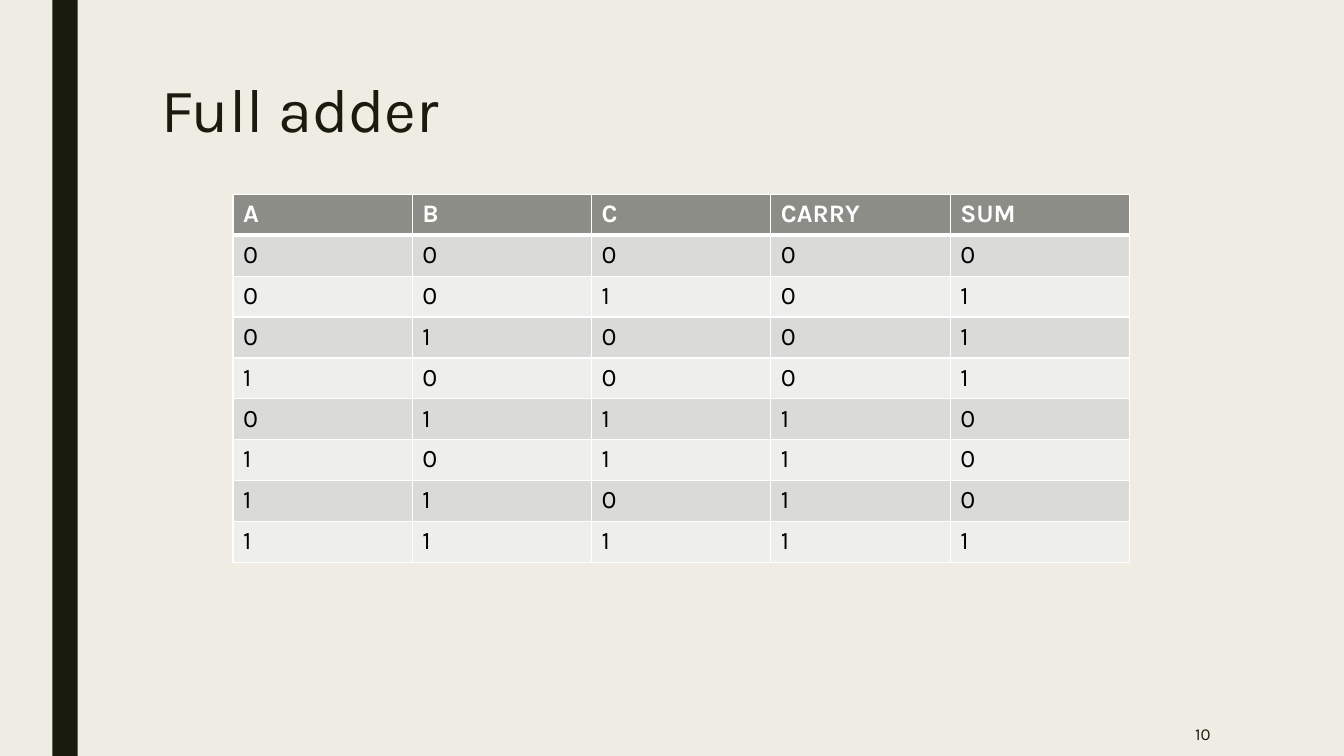
from itertools import product

from lxml import etree
from pptx import Presentation
from pptx.dml.color import RGBColor
from pptx.enum.shapes import MSO_SHAPE
from pptx.enum.text import MSO_ANCHOR, PP_ALIGN
from pptx.oxml.ns import qn
from pptx.util import Cm, Pt

RECTANGLE = MSO_SHAPE.RECTANGLE
TOP, MIDDLE = MSO_ANCHOR.TOP, MSO_ANCHOR.MIDDLE
LEFT, RIGHT = PP_ALIGN.LEFT, PP_ALIGN.RIGHT

CREAM = RGBColor(0xEF, 0xED, 0xE3)
DARK = RGBColor(0x19, 0x1B, 0x0E)
WHITE = RGBColor(0xFF, 0xFF, 0xFF)
BLACK = RGBColor(0x00, 0x00, 0x00)
HEADER_GRAY = RGBColor(0x8C, 0x8D, 0x86)
BAND_GRAYS = (RGBColor(0xDA, 0xDB, 0xD9), RGBColor(0xEE, 0xEE, 0xED))

HEADINGS = ("A", "B", "C", "CARRY", "SUM")


class SlideBuilder:
    font_name = "Karla"

    def __init__(self, presentation):
        self.slide = presentation.slides.add_slide(presentation.slide_layouts[6])
        background = self.slide.background.fill
        background.solid()
        background.fore_color.rgb = CREAM

    def style(self, paragraph, size, color, bold=False):
        font = paragraph.font
        font.name = self.font_name
        font.size = Pt(size)
        font.bold = bold
        font.color.rgb = color

    def bar(self, left, top, width, height):
        shape = self.slide.shapes.add_shape(
            RECTANGLE, Cm(left), Cm(top), Cm(width), Cm(height))
        shape.shadow.inherit = False
        shape.fill.solid()
        shape.fill.fore_color.rgb = DARK
        shape.line.fill.background()

    def text(self, text, left, top, width, height, size,
             anchor=TOP, alignment=LEFT, line_spacing=1.0):
        box = self.slide.shapes.add_textbox(
            Cm(left), Cm(top), Cm(width), Cm(height))
        frame = box.text_frame
        frame.word_wrap = True
        frame.vertical_anchor = anchor
        paragraph = frame.paragraphs[0]
        paragraph.text = text
        paragraph.alignment = alignment
        paragraph.line_spacing = line_spacing
        self.style(paragraph, size, DARK)

    def border(self, cell, widths):
        properties = cell._tc.get_or_add_tcPr()
        for index, (side, width) in enumerate(widths.items()):
            line = etree.Element(qn(f"a:ln{side}"), w=str(Pt(width)))
            fill = etree.SubElement(line, qn("a:solidFill"))
            etree.SubElement(fill, qn("a:srgbClr"), val=str(WHITE))
            properties.insert(index, line)

    def table(self, rows, left, top, column_width, row_height):
        columns = len(rows[0])
        table = self.slide.shapes.add_table(
            len(rows), columns, Cm(left), Cm(top),
            Cm(column_width * columns), Cm(row_height * len(rows))).table
        for column in table.columns:
            column.width = Cm(column_width)
        for row_index, values in enumerate(rows):
            table.rows[row_index].height = Cm(row_height)
            header = row_index == 0
            color = WHITE if header else BLACK
            background = HEADER_GRAY if header else BAND_GRAYS[(row_index - 1) % 2]
            widths = {"L": 1, "R": 1,
                      "T": 3 if row_index == 1 else 1,
                      "B": 3 if header else 1}
            for column_index, value in enumerate(values):
                cell = table.cell(row_index, column_index)
                cell.text = str(value)
                self.style(cell.text_frame.paragraphs[0], 18, color, header)
                cell.fill.solid()
                cell.fill.fore_color.rgb = background
                self.border(cell, widths)


def adder_rows():
    inputs = sorted(product((0, 1), repeat=3), key=sum)
    return [HEADINGS] + [(*bits, sum(bits) // 2, sum(bits) % 2) for bits in inputs]


def main():
    presentation = Presentation()
    presentation.slide_width = Cm(33.87)
    presentation.slide_height = Cm(19.05)
    builder = SlideBuilder(presentation)
    builder.bar(1.32, 0, 0.64, 19.05)
    builder.text("Full adder", 3.81, 1.9, 26.67, 4.11, 44, line_spacing=0.89)
    builder.text("10", 26.31, 17.93, 4.45, 1.12, 12, MIDDLE, RIGHT)
    builder.table(adder_rows(), 5.87, 4.9, 4.52, 1.03)
    presentation.save("out.pptx")


if __name__ == "__main__":
    main()
